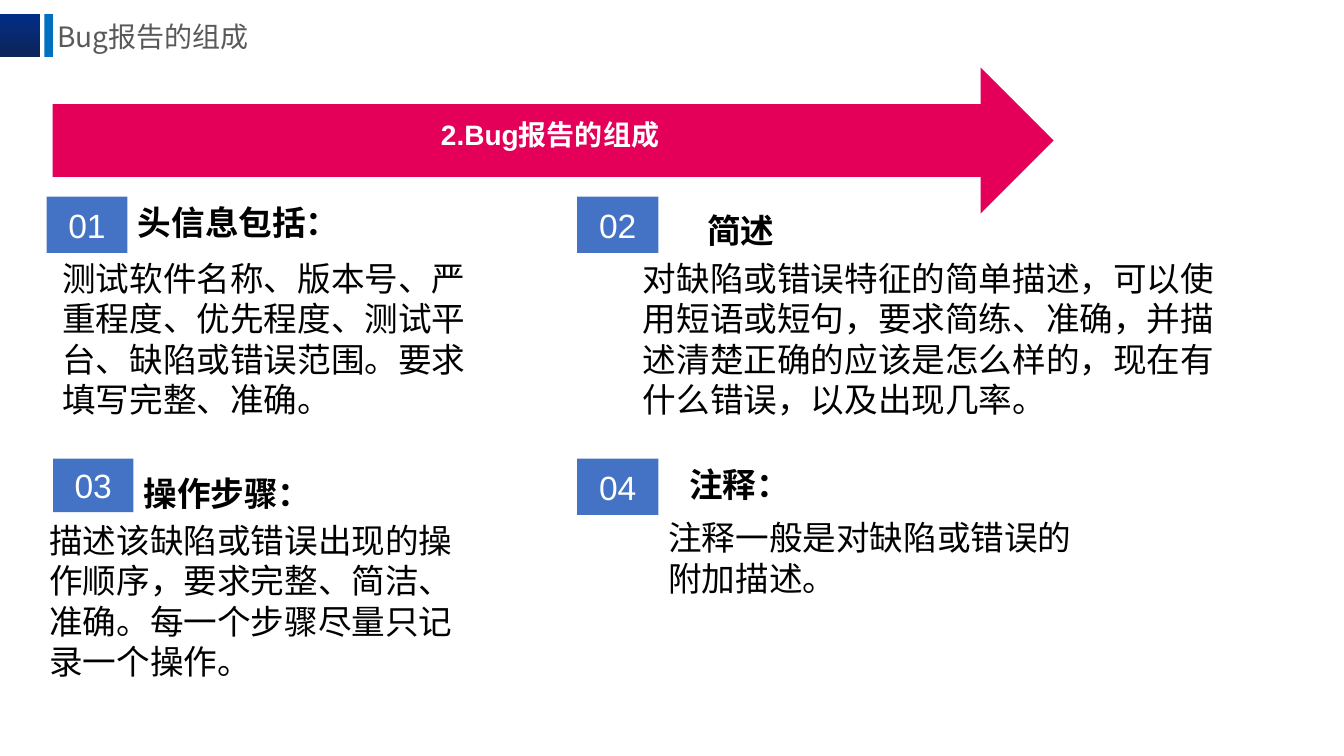
import dataclasses

import pptx
import pptx.dml.color
import pptx.enum.shapes
import pptx.enum.text
import pptx.oxml.ns
import pptx.util
from lxml import etree

Pt = pptx.util.Pt
RECT = pptx.enum.shapes.MSO_SHAPE.RECTANGLE
ALIGN = pptx.enum.text.PP_ALIGN
ANCHOR = pptx.enum.text.MSO_ANCHOR


@dataclasses.dataclass(frozen=True)
class Theme:
    navy_top: str = "012D86"
    navy_bottom: str = "0E2557"
    accent: str = "0070C0"
    arrow: str = "E40059"
    badge: str = "4472C4"
    title: str = "595959"
    text: str = "000000"
    inverse: str = "FFFFFF"
    latin: str = "Arial"
    cjk: str = "Noto Sans CJK SC"
    title_size: int = 20
    body_size: int = 24


def rgb(color):
    return pptx.dml.color.RGBColor.from_string(color)


class SlideBuilder:
    def __init__(self, prs, theme):
        self.theme = theme
        self.s = prs.slides.add_slide(prs.slide_layouts[5])

    def set_text(self, sp, text, size, color, bold=False, latin=None,
                 align=ALIGN.LEFT, anchor=ANCHOR.TOP):
        tf = sp.text_frame
        tf.text = text
        tf.word_wrap = True
        tf.auto_size = pptx.enum.text.MSO_AUTO_SIZE.NONE
        tf.vertical_anchor = anchor
        p = tf.paragraphs[0]
        p.alignment = align
        font = p.runs[0].font
        font.name = latin or self.theme.latin
        font.size = Pt(size)
        font.bold = bold
        font.color.rgb = rgb(color)
        ea = etree.Element(pptx.oxml.ns.qn("a:ea"), typeface=self.theme.cjk)
        font._element.find(pptx.oxml.ns.qn("a:latin")).addnext(ea)
        return tf

    def plain(self, sp, color):
        """Give a shape a flat fill with no line or shadow."""
        sp.shadow.inherit = False
        sp.line.fill.background()
        sp.fill.solid()
        sp.fill.fore_color.rgb = rgb(color)
        return sp

    def rect(self, box, color):
        return self.plain(self.s.shapes.add_shape(RECT, *map(Pt, box)), color)

    def gradient_rect(self, box, top, bottom):
        fill = self.rect(box, top).fill
        fill.gradient()
        fill.gradient_angle = 270
        for stop, color, position in zip(fill.gradient_stops, (top, bottom), (0, 1)):
            stop.color.rgb = rgb(color)
            stop.position = position

    def title(self, box, text):
        sp = self.s.shapes.title
        sp.left, sp.top, sp.width, sp.height = map(Pt, box)
        self.set_text(sp, text, self.theme.title_size, self.theme.title,
                      latin=self.theme.cjk, anchor=ANCHOR.MIDDLE)

    def arrow(self, box, text):
        """Draw a right arrow whose head is half as long as it is tall."""
        x, y, w, h = box
        neck, tip, shaft_top, shaft_bottom = x + w - h / 2, x + w, y + h / 4, y + h * 3 / 4
        outline = [(x, shaft_top), (neck, shaft_top), (neck, y), (tip, y + h / 2),
                   (neck, y + h), (neck, shaft_bottom), (x, shaft_bottom)]
        points = [(Pt(px), Pt(py)) for px, py in outline]
        builder = self.s.shapes.build_freeform(*points[0])
        builder.add_line_segments(points[1:], close=True)
        sp = self.plain(builder.convert_to_shape(), self.theme.arrow)
        tf = self.set_text(sp, text, self.theme.title_size, self.theme.inverse,
                           bold=True, align=ALIGN.CENTER, anchor=ANCHOR.MIDDLE)
        tf.margin_left, tf.margin_top, tf.margin_right, tf.margin_bottom = map(
            Pt, (40.3, 28.1, 44.6, 42.5))
        tf.paragraphs[0].line_spacing = 1.2

    def badge(self, box, text):
        self.set_text(self.rect(box, self.theme.badge), text, self.theme.body_size,
                      self.theme.inverse, align=ALIGN.CENTER, anchor=ANCHOR.MIDDLE)

    def text(self, box, text, bold=False):
        sp = self.s.shapes.add_textbox(*map(Pt, box))
        self.set_text(sp, text, self.theme.body_size, self.theme.text, bold=bold)


# Badge box, heading, heading box, description, description box
SECTIONS = [
    ((33.3, 140.4, 57.7, 40.3), "头信息包括：", (91.4, 140.4, 255, 34.6),
     "测试软件名称、版本号、严重程度、优先程度、测试平台、缺陷或错误范围。要求填写完整、准确。",
     (37.4, 180.7, 309, 129)),
    ((412.3, 140.4, 58, 40.3), "简述", (498.2, 146.2, 255, 34.6),
     "对缺陷或错误特征的简单描述，可以使用短语或短句，要求简练、准确，并描述清楚正确的应该是怎么样的，"
     "现在有什么错误，以及出现几率。",
     (452.2, 180.7, 444.2, 185)),
    ((37.9, 327.6, 57.5, 38.2), "操作步骤：", (95.4, 334.1, 268.6, 33.8),
     "描述该缺陷或错误出现的操作顺序，要求完整、简洁、准确。每一个步骤尽量只记录一个操作。",
     (28.1, 367.9, 309, 129)),
    ((412.3, 327.6, 58, 40.3), "注释：", (485.3, 327.6, 255, 34.6),
     "注释一般是对缺陷或错误的附加描述。",
     (470.2, 365.8, 309, 129)),
]


def main():
    prs = pptx.Presentation()
    prs.slide_width, prs.slide_height = Pt(960), Pt(540)
    theme = Theme()
    slide = SlideBuilder(prs, theme)
    slide.gradient_rect((-0.5, 10.1, 29, 30.6), theme.navy_top, theme.navy_bottom)
    slide.rect((31.8, 10.1, 6, 30.6), theme.accent)
    slide.title((33.8, 4.3, 234.7, 43.9), "Bug报告的组成")
    slide.arrow((37.6, 48.3, 715, 104.2), "2.Bug报告的组成")
    for number, section in enumerate(SECTIONS, 1):
        badge_box, heading, heading_box, description, description_box = section
        slide.badge(badge_box, f"{number:02}")
        slide.text(heading_box, heading, bold=True)
        slide.text(description_box, description)
    prs.save("out.pptx")


if __name__ == "__main__":
    main()
